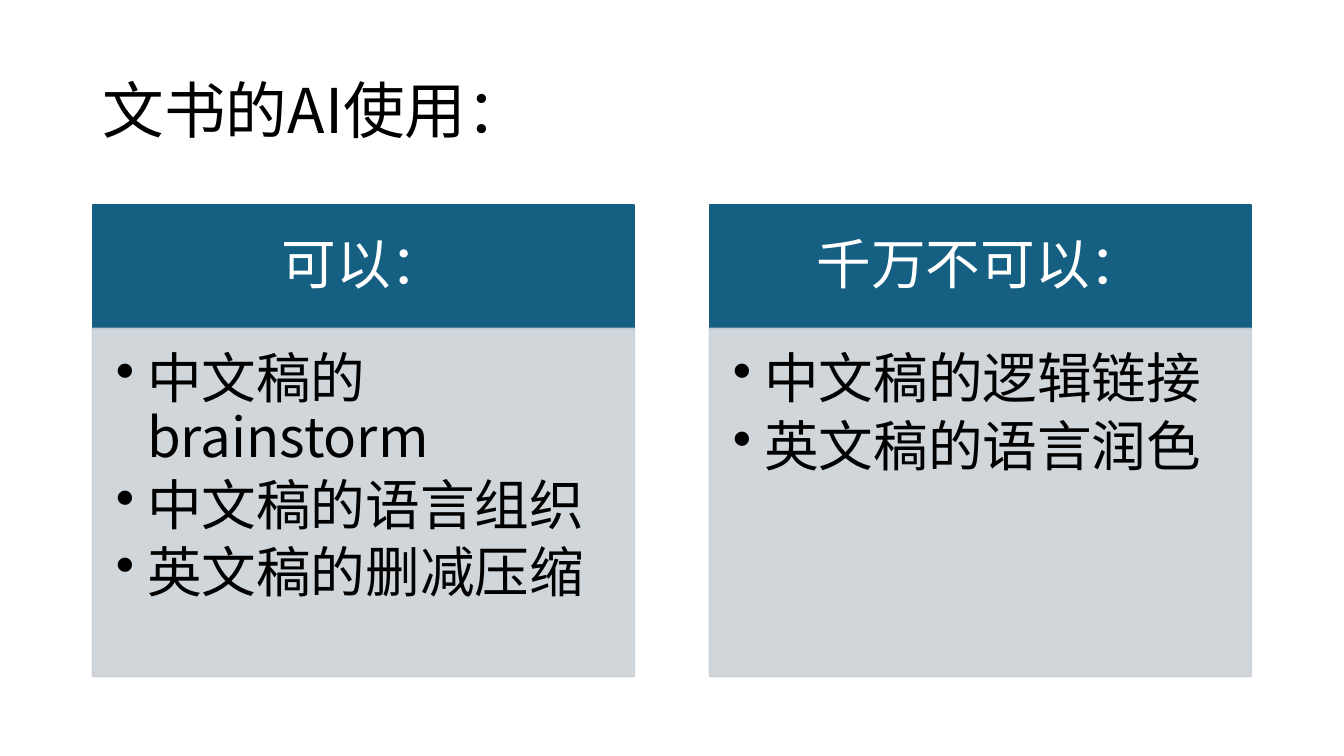
"""Build a slide on what AI may and may not do for application essays."""
import pptx
import pptx.util
import pptx.oxml
import pptx.oxml.ns
import pptx.dml.color
import pptx.enum.text
import pptx.enum.shapes
from lxml import etree
from dataclasses import dataclass

TITLE = "文书的AI使用："
COLS = [
    ("可以：", ["中文稿的brainstorm", "中文稿的语言组织", "英文稿的删减压缩"]),
    ("千万不可以：", ["中文稿的逻辑链接", "英文稿的语言润色"]),
]


@dataclass(frozen=True)
class Theme:
    """Colours, type sizes and font."""
    font: str = "Noto Sans CJK SC"
    ink: str = "000000"
    pale: str = "FFFFFF"
    head: str = "156082"
    body: str = "CCD2D8"
    big: int = 44
    mid: int = 39


THEME = Theme()
LEFT, TOP, WIDE, STEP = 0.92, 2.03, 5.37, 6.12
HEAD, BODY = 1.23, 3.45
Inches, Pt = pptx.util.Inches, pptx.util.Pt
Align, Anchor = pptx.enum.text.PP_ALIGN, pptx.enum.text.MSO_ANCHOR
qn = pptx.oxml.ns.qn


def shade(paint, tone, alpha=None):
    """Set a solid colour, with optional opacity in percent."""
    paint.solid()
    paint.fore_color.rgb = pptx.dml.color.RGBColor.from_string(tone)
    if alpha:
        node = paint._xPr.find(qn("a:solidFill"))[0]
        etree.SubElement(node, qn("a:alpha"), val=str(alpha * 1000))


def write(shape, lines, size=THEME.mid, tone=THEME.ink, align=Align.LEFT,
          anchor=Anchor.MIDDLE, inset=(0.1, 0.05, 0.1, 0.05), after=0, dot=False):
    """Fill a shape with formatted paragraphs."""
    frame = shape.text_frame
    frame.word_wrap = True
    frame.vertical_anchor = anchor
    (frame.margin_left, frame.margin_top,
     frame.margin_right, frame.margin_bottom) = map(Inches, inset)
    for i, line in enumerate(lines):
        para = frame.add_paragraph() if i else frame.paragraphs[0]
        para.alignment = align
        para.line_spacing = 0.9
        para.space_before = Pt(0)
        para.space_after = Pt(after)
        if dot:
            props = para._p.get_or_add_pPr()
            props.set("marL", str(Inches(0.31)))
            props.set("indent", str(-Inches(0.31)))
            etree.SubElement(props, qn("a:buChar"), char="•")
        run = para.add_run()
        run.text = line
        run.font.size = Pt(size)
        run.font.name = THEME.font
        run.font.color.rgb = pptx.dml.color.RGBColor.from_string(tone)
        etree.SubElement(run._r.rPr, qn("a:ea"), typeface=THEME.font)


def panel(slide, box, tone, alpha=None):
    """Add a filled and outlined rectangle."""
    shape = slide.shapes.add_shape(
        pptx.enum.shapes.MSO_SHAPE.RECTANGLE, *map(Inches, box))
    shape.shadow.inherit = False
    shade(shape.fill, tone, alpha)
    shape.line.width = Pt(1.5)
    shade(shape.line.fill, tone, alpha)
    return shape


def main():
    """Lay out the title and both columns."""
    deck = pptx.Presentation()
    deck.slide_width, deck.slide_height = Inches(13.33), Inches(7.5)
    slide = deck.slides.add_slide(deck.slide_layouts[6])
    title = slide.shapes.add_textbox(*map(Inches, (LEFT, 0.4, 11.5, 1.45)))
    write(title, [TITLE], size=THEME.big)
    for i, (name, items) in enumerate(COLS):
        x = LEFT + i * STEP
        head = panel(slide, (x, TOP, WIDE, HEAD), THEME.head)
        write(head, [name], tone=THEME.pale, align=Align.CENTER,
              inset=(0.3, 0.17, 0.3, 0.17))
        body = panel(slide, (x, TOP + HEAD, WIDE, BODY), THEME.body, alpha=90)
        write(body, items, anchor=Anchor.TOP, inset=(0.23, 0.23, 0.3, 0.34),
              after=6, dot=True)
    deck.save("out.pptx")


if __name__ == "__main__":
    main()
